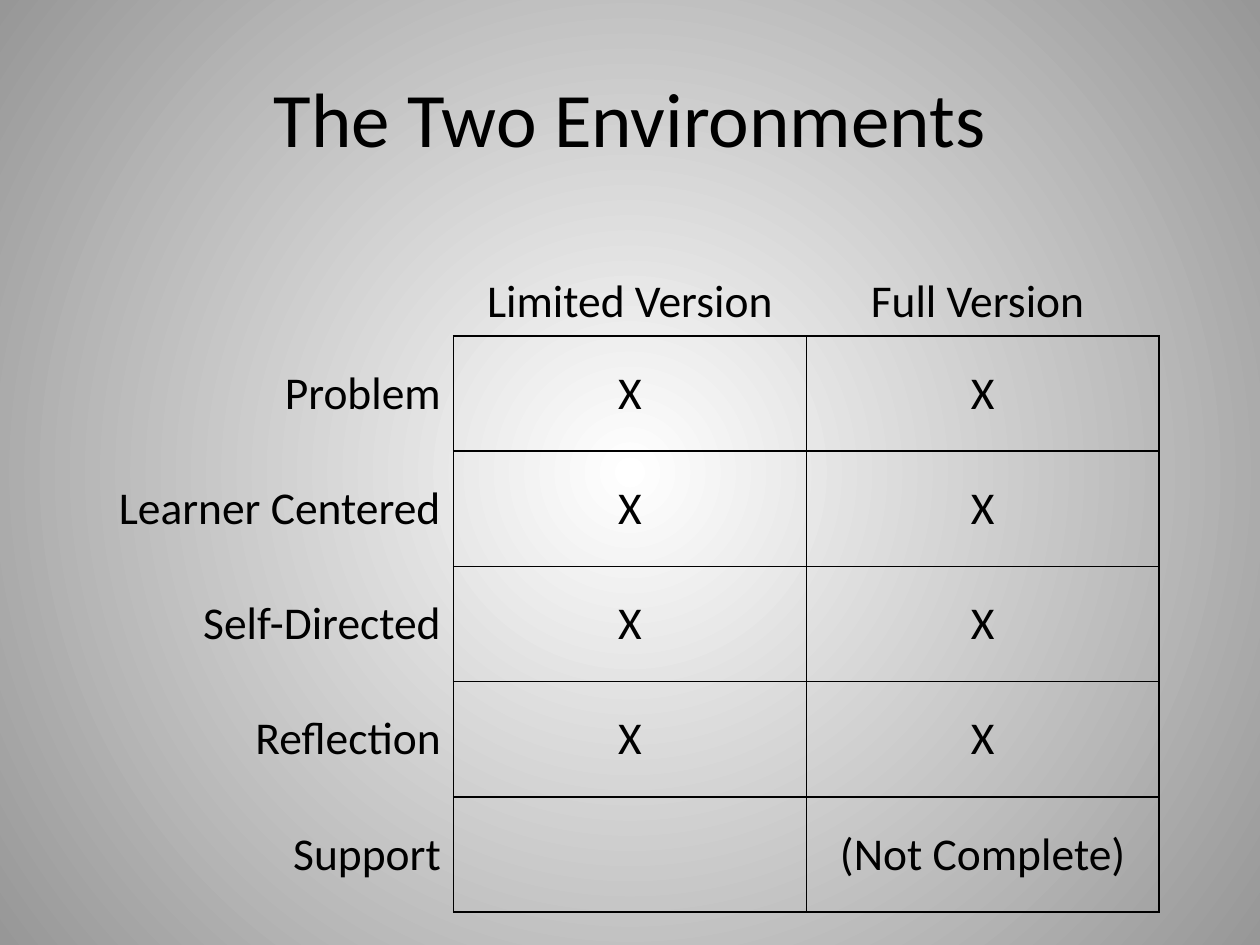
from lxml import etree
from pptx import Presentation
from pptx.dml.color import RGBColor
from pptx.enum.text import MSO_ANCHOR, PP_ALIGN
from pptx.oxml.ns import qn
from pptx.util import Inches, Pt

# Content
TITLE = "The Two Environments"
ROWS = [
    ("", "Limited Version", "Full Version "),
    ("Problem", "X", "X"),
    ("Learner Centered", "X", "X"),
    ("Self-Directed", "X", "X"),
    ("Reflection", "X", "X"),
    ("Support", "", "(Not Complete)"),
]

# Style
FONT = "Calibri"
BLACK = RGBColor(0x00, 0x00, 0x00)
WHITE = RGBColor(0xFF, 0xFF, 0xFF)
GRAY = RGBColor(0x97, 0x97, 0x97)
CENTER, RIGHT = PP_ALIGN.CENTER, PP_ALIGN.RIGHT
MIDDLE, BOTTOM = MSO_ANCHOR.MIDDLE, MSO_ANCHOR.BOTTOM

# Layout in inches
PAGE_WIDTH, PAGE_HEIGHT = 10, 7.5
TITLE_LEFT, TITLE_TOP, TITLE_HEIGHT = 0.5, 0.3, 1.25
TABLE_LEFT, TABLE_TOP, TABLE_HEIGHT = 0.8, 1.75, 5.49


def set_text(frame, text, size, align):
    frame.text = text
    para = frame.paragraphs[0]
    para.alignment = align
    for span in para.runs:
        span.font.name = FONT
        span.font.size = Pt(size)
        span.font.color.rgb = BLACK


def set_border(cell, side, visible):
    properties = cell._tc.get_or_add_tcPr()
    line = etree.SubElement(properties, qn(f"a:ln{side}"), w=str(Pt(1)))
    if visible:
        fill = etree.SubElement(line, qn("a:solidFill"))
        etree.SubElement(fill, qn("a:srgbClr"), val=str(BLACK))
    else:
        etree.SubElement(line, qn("a:noFill"))


def paint_background(page):
    fill = page.background.fill
    fill.gradient()
    for stop, color, position in zip(fill.gradient_stops, (WHITE, GRAY), (0, 1)):
        stop.color.rgb = color
        stop.position = position
    # Turn the linear gradient into a circle around the page centre
    gradient = page._element.find(".//" + qn("a:gradFill"))
    gradient.remove(gradient.find(qn("a:lin")))
    circle = etree.Element(qn("a:path"), path="circle")
    etree.SubElement(circle, qn("a:fillToRect"),
                     {side: "50000" for side in "ltrb"})
    gradient.find(qn("a:gsLst")).addnext(circle)


def add_title(page):
    box = page.shapes.add_textbox(
        Inches(TITLE_LEFT), Inches(TITLE_TOP),
        Inches(PAGE_WIDTH - 2 * TITLE_LEFT), Inches(TITLE_HEIGHT))
    frame = box.text_frame
    frame.word_wrap = True
    frame.vertical_anchor = MIDDLE
    set_text(frame, TITLE, 44, CENTER)


def add_comparison(page):
    table = page.shapes.add_table(
        len(ROWS), len(ROWS[0]), Inches(TABLE_LEFT), Inches(TABLE_TOP),
        Inches(PAGE_WIDTH - 2 * TABLE_LEFT), Inches(TABLE_HEIGHT)).table
    table.first_row = table.horz_banding = False
    for r, row in enumerate(ROWS):
        for c, text in enumerate(row):
            cell = table.cell(r, c)
            in_body, in_grid = r > 0, c > 0
            # Only the answer cells are framed
            borders = {"L": in_body and in_grid, "R": in_body,
                       "T": in_body and in_grid, "B": in_grid}
            for side, visible in borders.items():
                set_border(cell, side, visible)
            cell.fill.background()
            cell.vertical_anchor = MIDDLE if in_body else BOTTOM
            set_text(cell.text_frame, text, 26, CENTER if in_grid else RIGHT)


def main():
    deck = Presentation()
    deck.slide_width, deck.slide_height = Inches(PAGE_WIDTH), Inches(PAGE_HEIGHT)
    page = deck.slides.add_slide(deck.slide_layouts[6])
    paint_background(page)
    add_title(page)
    add_comparison(page)
    deck.save("out.pptx")


if __name__ == "__main__":
    main()
